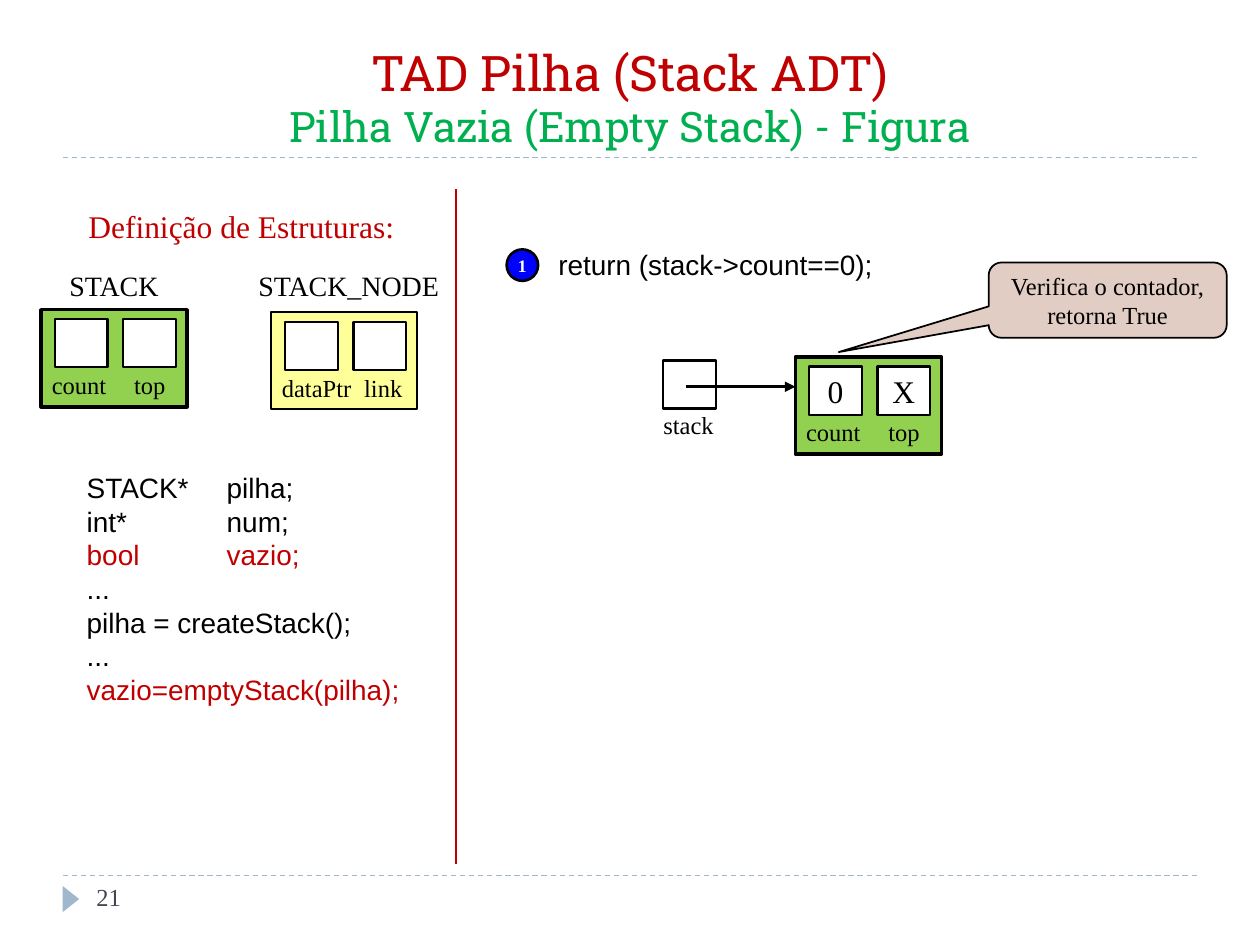
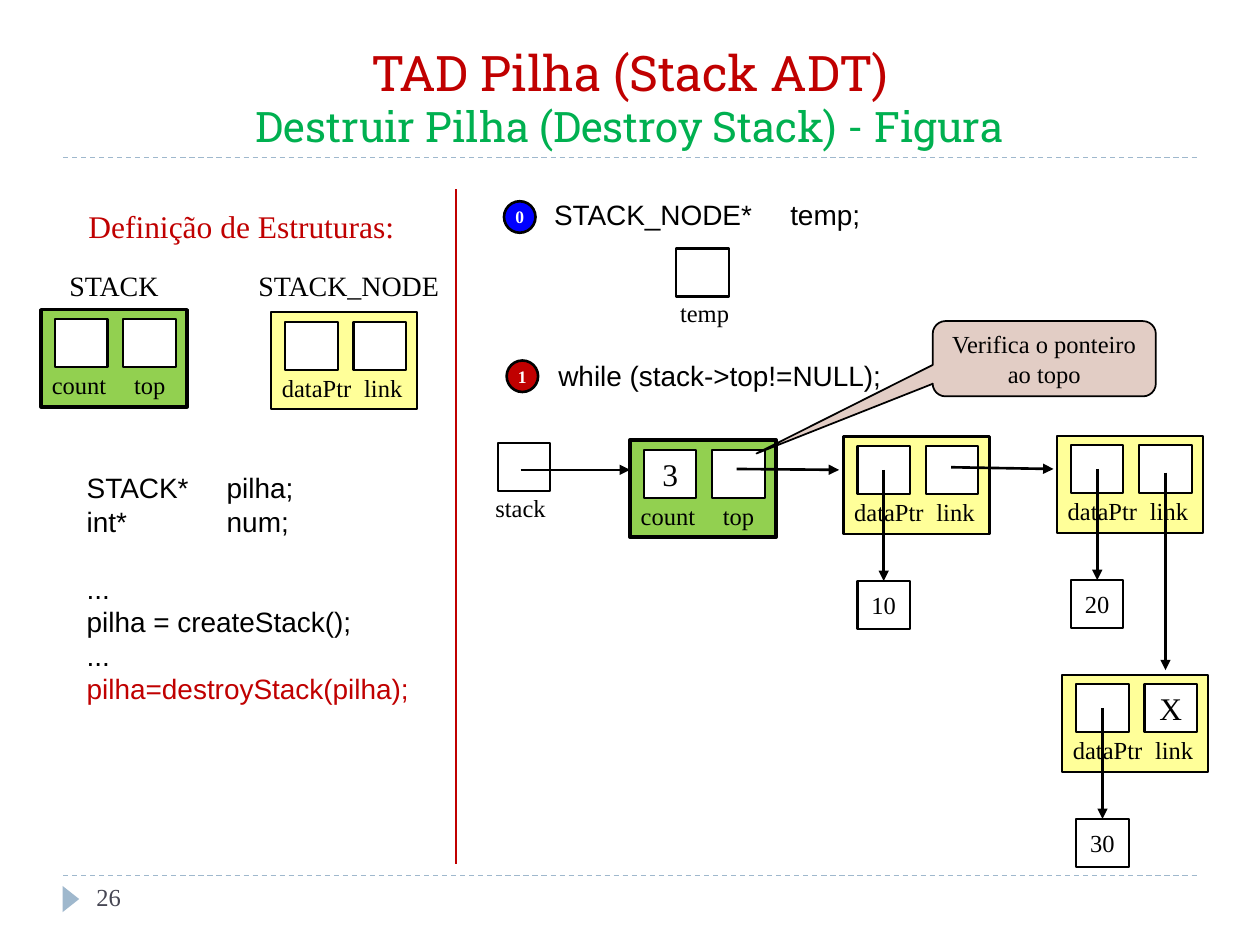
from lxml import etree
from pptx import Presentation
from pptx.dml.color import RGBColor
from pptx.enum.dml import MSO_LINE
from pptx.enum.shapes import MSO_CONNECTOR, MSO_SHAPE as SHAPE
from pptx.enum.text import MSO_ANCHOR as ANCHOR, PP_ALIGN as ALIGN
from pptx.oxml.ns import qn
from pptx.util import Pt

BLACK, WHITE, RED, BLUE = "000000", "FFFFFF", "C00000", "0000FF"
TITLE_GREEN, STACK_GREEN, NODE_YELLOW = "00B050", "92D050", "FFFF99"
BAND, NUMBER_GREY, CALLOUT_FILL = "9FB8CD", "464653", "E2CDC5"
SERIF, CODE_FONT, TITLE_FONT = "Times New Roman", "Arial", "Roboto Slab"
CELL_W, CELL_H = 30, 27.5
rgb = RGBColor.from_string


def add_text(shapes, text, box, kind=None, size=14, font=SERIF, colour=BLACK,
             bold=False, align=None, anchor=None, wrap=True, fill=None,
             line=None, tab=None, margin=None):
    """Add a text box, or a preset shape if a kind is given."""
    box = [Pt(length) for length in box]
    if kind is None:
        shape = shapes.add_textbox(*box)
    else:
        shape = shapes.add_shape(kind, *box)
        shape.shadow.inherit = False
        shape.fill.solid()
        shape.fill.fore_color.rgb = rgb(fill)
        if line:
            shape.line.color.rgb = rgb(BLACK)
            shape.line.width = Pt(line)
        else:
            shape.line.fill.background()
        align, anchor = ALIGN.CENTER, ANCHOR.MIDDLE
    frame = shape.text_frame
    frame.word_wrap = wrap
    if anchor is not None:
        frame.vertical_anchor = anchor
    if margin is not None:
        frame.margin_left = frame.margin_right = Pt(margin)
        frame.margin_top = frame.margin_bottom = Pt(margin)
    for index, words in enumerate(text.split("\n") if text else []):
        paragraph = frame.add_paragraph() if index else frame.paragraphs[0]
        paragraph.alignment = align
        if tab:
            stops = etree.SubElement(paragraph._p.get_or_add_pPr(), qn("a:tabLst"))
            etree.SubElement(stops, qn("a:tab"), pos=str(Pt(tab)), algn="l")
        run = paragraph.add_run()
        run.text = words
        run.font.name, run.font.size, run.font.bold = font, Pt(size), bold
        run.font.color.rgb = rgb(colour)
    return shape


def add_line(shapes, start, end, colour=BLACK, width=1.5, dash=False, arrow=True):
    connector = shapes.add_connector(
        MSO_CONNECTOR.STRAIGHT, *[Pt(length) for length in (*start, *end)])
    connector.line.color.rgb = rgb(colour)
    connector.line.width = Pt(width)
    if dash:
        connector.line.dash_style = MSO_LINE.DASH
    if arrow:
        etree.SubElement(connector.line._get_or_add_ln(), qn("a:tailEnd"), type="triangle")
    etree.SubElement(connector._element.spPr, qn("a:effectLst"))
    return connector


# Record kinds: fill, line width, then (label, width) of each field
STACK = (STACK_GREEN, 2, (("count", 46), ("top", 32.5)))
NODE = (NODE_YELLOW, 1.25, (("dataPtr", 55), ("link", 37)))

# Both slides define the two structures in the left column
DEFINITIONS = [(STACK, 23.5, 177, ("", ""), None),
               (NODE, 155, 178.5, ("", ""), None)]

SLIDES = [
    dict(
        number="21", subtitle="Pilha Vazia (Empty Stack) - Figura",
        code=["STACK*\tpilha;", "int*\tnum;", "bool\tvazio;", "...",
              "pilha = createStack();", "...", "vazio=emptyStack(pilha);"],
        red_lines=(2, 6), gap_before=None,
        steps=[("1", BLUE, 289.5, 142.5, "return (stack->count==0);",
                (312, 138, 202, 26.5))],
        pointers=[("stack", 44, (379, 206), (372, 231))],
        records=[(STACK, 454.5, 204, ("0", "X"), None)],
        arrows=[((392, 221), (454.5, 221))],
        callout=("Verifica o contador,\nretorna True", (565, 150, 136, 43),
                 (-1.13, 0.69, 0.17)),
    ),
    dict(
        number="26", subtitle="Destruir Pilha (Destroy Stack) - Figura",
        code=["STACK*\tpilha;", "int*\tnum;", "...", "pilha = createStack();",
              "...", "pilha=destroyStack(pilha);"],
        red_lines=(5,), gap_before=2,
        steps=[("0", BLUE, 288, 115, "STACK_NODE*\ttemp;", (309.5, 109.5, 192, 26.5)),
               ("1", RED, 289.5, 206, "while (stack->top!=NULL);",
                (312, 201.5, 200, 26.5))],
        pointers=[("stack", 44, (284.5, 253), (276, 278)),
                  ("temp", 42.5, (386.5, 142), (381.5, 166.5))],
        records=[(STACK, 360, 251.5, ("3", ""), None),
                 (NODE, 482, 249.5, ("", ""), "10"),
                 (NODE, 604, 249, ("", ""), "20"),
                 (NODE, 607, 385.5, ("", "X"), "30")],
        arrows=[((297.5, 268.5), (360, 268.5)), ((421, 268), (479.5, 268.5)),
                ((543.5, 267), (602, 268)), ((666, 270), (666, 383))],
        callout=("Verifica o ponteiro ao topo", (533, 183.5, 127.5, 43),
                 (-1.29, 1.26, 0.17)),
    ),
]

presentation = Presentation()
presentation.slide_width, presentation.slide_height = Pt(720), Pt(540)

for content in SLIDES:
    slide = presentation.slides.add_slide(presentation.slide_layouts[6])
    shapes = slide.shapes

    # Bands, title and slide number
    for y in (500.5, 90):
        add_line(shapes, (36, y), (684, y), BAND, 0.75, dash=True, arrow=False)
    marker = add_text(shapes, "", (33, 509, 15, 9.5), SHAPE.ISOSCELES_TRIANGLE, fill=BAND)
    marker.rotation = 90
    title = add_text(shapes, "TAD Pilha (Stack ADT)", (36, 18, 648, 72), size=28,
                     font=TITLE_FONT, colour=RED, align=ALIGN.CENTER, anchor=ANCHOR.BOTTOM)
    heading = title.text_frame.paragraphs[0]
    heading.add_line_break()
    subtitle = heading.add_run()
    subtitle.text = content["subtitle"]
    subtitle.font.name, subtitle.font.size = TITLE_FONT, Pt(24)
    subtitle.font.color.rgb = rgb(TITLE_GREEN)
    add_text(shapes, content["number"], (48, 500.5, 156, 29), colour=NUMBER_GREY)

    # Left column: headings and calling code
    add_line(shapes, (260.5, 108), (260.5, 494), RED, arrow=False)
    add_text(shapes, "Definição de Estruturas:", (42.5, 115, 191, 29), size=18,
             colour=RED, align=ALIGN.CENTER)
    add_text(shapes, "STACK", (32.5, 150, 66, 26.5), size=16, wrap=False)
    add_text(shapes, "STACK_NODE", (140.5, 150, 119, 26.5), size=16, wrap=False)
    code = add_text(shapes, "\n".join(content["code"]), (42.5, 265.5, 205, 143.5),
                    size=16, font=CODE_FONT, tab=80)
    lines = code.text_frame.paragraphs
    for index in content["red_lines"]:
        lines[index].runs[0].font.color.rgb = rgb(RED)
    if content["gap_before"]:
        lines[content["gap_before"]].space_before = Pt(19)

    # Pointer variables
    for name, width, cell, label in content["pointers"]:
        add_text(shapes, "", (*cell, CELL_W, CELL_H), SHAPE.RECTANGLE, fill=WHITE, line=1.25)
        add_text(shapes, name, (*label, width, 24.5), wrap=False)

    # Records with two fields, and the data each node points to
    for (fill, border, fields), x, y, values, data in DEFINITIONS + content["records"]:
        record = shapes.add_group_shape().shapes
        add_text(record, "", (x, y, 83.5, 55.5), SHAPE.RECTANGLE, fill=fill, line=border)
        for column, ((label, width), value) in enumerate(zip(fields, values)):
            left = x + 8 + 39 * column
            add_text(record, value, (left, y + 5.5, CELL_W, CELL_H), SHAPE.RECTANGLE,
                     size=18, fill=WHITE, line=1.25)
            add_text(record, label, (x - 1 + 47 * column, y + 31, width, 24.5), wrap=False)
        if data:
            target = add_text(shapes, data, (x + 8, y + 82.5, CELL_W, CELL_H),
                              SHAPE.RECTANGLE, fill=WHITE, line=1.25)
            centre = x + 8 + CELL_W / 2
            data_arrow = add_line(shapes, (centre, y + 19), (centre, y + 82.5))
            data_arrow.end_connect(target, 0)

    for start, end in content["arrows"]:
        add_line(shapes, start, end)

    # Numbered steps
    for number, colour, x, y, statement, box in content["steps"]:
        add_text(shapes, statement, box, size=16, font=CODE_FONT, tab=135)
        add_text(shapes, number, (x, y, 18, 18), SHAPE.OVAL, size=10, colour=WHITE,
                 bold=True, fill=colour, line=1.5, wrap=False, margin=0)

    # Callout
    text, box, adjustments = content["callout"]
    callout = add_text(shapes, text, box, SHAPE.ROUNDED_RECTANGULAR_CALLOUT,
                       fill=CALLOUT_FILL, line=1)
    for index, value in enumerate(adjustments):
        callout.adjustments[index] = value

presentation.save("out.pptx")
